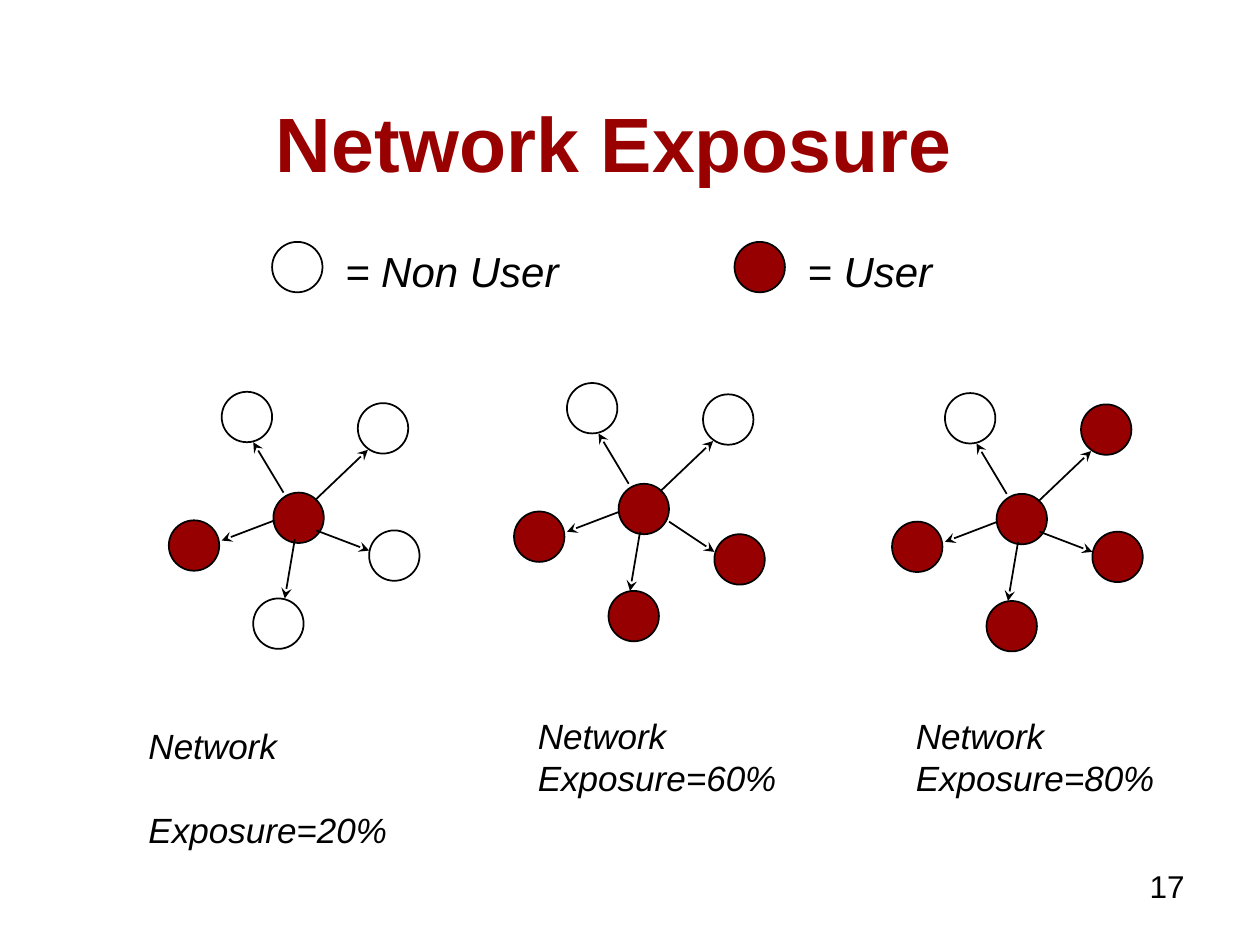
from dataclasses import dataclass, field

from lxml.etree import SubElement
from pptx import Presentation
from pptx.dml.color import RGBColor
from pptx.enum.shapes import MSO_CONNECTOR as Connector, MSO_SHAPE as Shape
from pptx.enum.text import MSO_ANCHOR as Anchor, MSO_AUTO_SIZE as AutoSize, PP_ALIGN as Align
from pptx.oxml.ns import qn
from pptx.util import Inches, Pt

COLORS = {"title": "990000", "user": "970000", "non_user": "FFFFFF", "ink": "000000"}
FONT = "Arial"
NODE_SIZE = 0.4
LABEL_SIZE = (2.11, 0.77)

Point = tuple[float, float]


@dataclass(frozen=True)
class Spoke:
    node: Point
    start: Point
    end: Point


@dataclass(frozen=True)
class Network:
    hub: Point
    users: set[str]
    label: list[str]
    label_at: Point
    changes: dict[str, Spoke] = field(default_factory=dict)


@dataclass(frozen=True)
class LegendItem:
    left: float
    fill: str
    text: str
    width: float


SPOKES = {
    "upper_right": Spoke((0.67, -0.71), (0.33, 0.06), (0.75, -0.34)),
    "upper_left": Spoke((-0.41, -0.8), (0.08, 0), (-0.16, -0.4)),
    "left": Spoke((-0.83, 0.22), (0.01, 0.22), (-0.41, 0.38)),
    "right": Spoke((0.76, 0.3), (0.34, 0.3), (0.76, 0.46)),
    "bottom": Spoke((-0.08, 0.85), (0.17, 0.38), (0.09, 0.85)),
}

NETWORKS = [
    Network((2.17, 3.91), {"left"}, ["Network", " Exposure=20%"], (1.08, 5.7),
            {"bottom": Spoke((-0.16, 0.84), (0.17, 0.37), (0.09, 0.84))}),
    Network((4.91, 3.84), {"left", "right", "bottom"},
            ["Network", "Exposure=60%"], (4.17, 5.62),
            {"right": Spoke((0.76, 0.4), (0.4, 0.3), (0.76, 0.54))}),
    Network((7.91, 3.92), {"upper_right", "left", "right", "bottom"},
            ["Network", "Exposure=80%"], (7.17, 5.62)),
]

LEGEND = [
    LegendItem(2.16, "non_user", "= Non User", 1.92),
    LegendItem(5.83, "user", "= User", 1.2),
]


def rgb(name: str) -> RGBColor:
    return RGBColor.from_string(COLORS[name])


def shift(origin: Point, offset: Point) -> Point:
    return origin[0] + offset[0], origin[1] + offset[1]


def add_node(slide, at: Point, fill: str) -> None:
    size = Inches(NODE_SIZE)
    sp = slide.shapes.add_shape(Shape.OVAL, Inches(at[0]), Inches(at[1]), size, size)
    sp.shadow.inherit = False
    sp.fill.solid()
    sp.fill.fore_color.rgb = rgb(fill)
    sp.line.color.rgb = rgb("ink")
    sp.line.width = Pt(1)


def add_arrow(slide, start: Point, end: Point) -> None:
    line = slide.shapes.add_connector(Connector.STRAIGHT, *map(Inches, start + end))
    line.line.color.rgb = rgb("ink")
    line.line.width = Pt(1)
    sp_pr = line._element.spPr
    SubElement(sp_pr.find(qn("a:ln")), qn("a:tailEnd"), type="stealth")
    SubElement(sp_pr, qn("a:effectLst"))


def add_text(slide, at: Point, size: Point, lines: list[str], points: int,
             italic: bool = True, wrap: bool = False, align: Align = Align.LEFT) -> None:
    tf = slide.shapes.add_textbox(*map(Inches, at + size)).text_frame
    tf.word_wrap = wrap
    tf.auto_size = AutoSize.NONE if wrap else AutoSize.SHAPE_TO_FIT_TEXT
    tf.text = "\n".join(lines)
    for p in tf.paragraphs:
        p.alignment = align
        p.font.name = FONT
        p.font.size = Pt(points)
        p.font.italic = italic
        p.font.color.rgb = rgb("ink")


def add_title(slide, text: str) -> None:
    sp = slide.shapes.title
    sp.left, sp.top, sp.width, sp.height = map(Inches, (0.25, 0.5, 9.25, 1.25))
    tf = sp.text_frame
    tf.text = text
    tf.auto_size = AutoSize.NONE
    tf.vertical_anchor = Anchor.MIDDLE
    p = tf.paragraphs[0]
    p.alignment = Align.CENTER
    p.font.name = FONT
    p.font.size = Pt(44)
    p.font.bold = True
    p.font.color.rgb = rgb("title")


def add_legend_item(slide, item: LegendItem) -> None:
    add_node(slide, (item.left, 1.92), item.fill)
    add_text(slide, (item.left + 0.48, 1.9), (item.width, 0.51), [item.text], 24)


def add_network(slide, network: Network) -> None:
    add_node(slide, network.hub, "user")
    for name, spoke in (SPOKES | network.changes).items():
        fill = "user" if name in network.users else "non_user"
        add_node(slide, shift(network.hub, spoke.node), fill)
        add_arrow(slide, shift(network.hub, spoke.start), shift(network.hub, spoke.end))
    add_text(slide, network.label_at, LABEL_SIZE, network.label, 20)


def main() -> None:
    prs = Presentation()
    prs.slide_width, prs.slide_height = Inches(10), Inches(7.5)
    slide = prs.slides.add_slide(prs.slide_layouts[5])
    add_title(slide, "Network Exposure")
    for item in LEGEND:
        add_legend_item(slide, item)
    for network in NETWORKS:
        add_network(slide, network)
    add_text(slide, (7.17, 6.83), (2.33, 0.52), ["17"], 18,
             italic=False, wrap=True, align=Align.RIGHT)
    prs.save("out.pptx")


if __name__ == "__main__":
    main()
